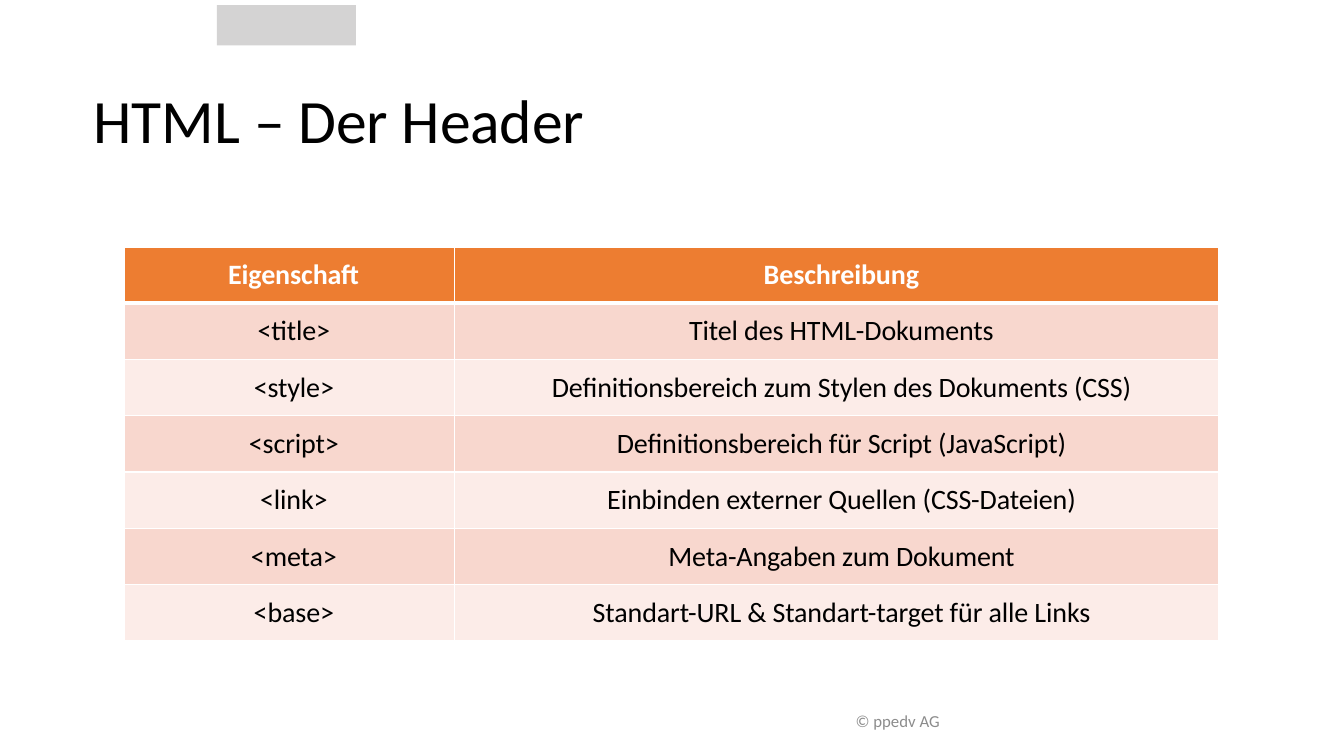
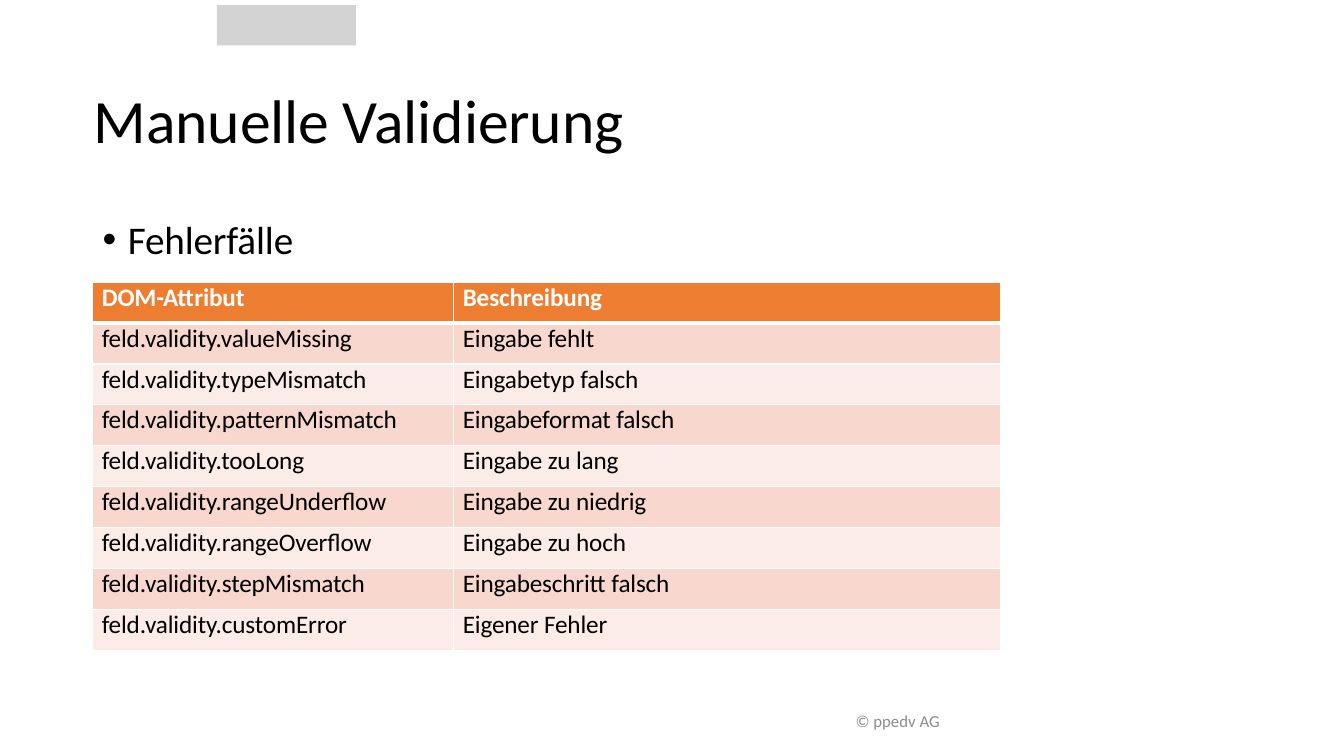
"""Build two German web-training slides with property tables."""
from dataclasses import dataclass

from lxml import etree
from pptx import Presentation
from pptx import util as u
from pptx.dml.color import RGBColor
from pptx.enum import shapes, text
from pptx.oxml.ns import qn


@dataclass(frozen=True)
class Theme:
    """Colours, font and type sizes of the deck."""
    font: str = "Calibri"
    ink: str = "000000"
    white: str = "FFFFFF"
    header: str = "ED7D31"
    bands: tuple = ("F8D7CE", "FCECE8")
    block: str = "D4D3D3"
    muted: str = "8C8C8C"
    title: int = 44
    body: int = 28
    footer: int = 12
    tracking: int = -10


T = Theme()

HEADER_ROWS = [
    ("Eigenschaft", "Beschreibung"),
    ("<title>", "Titel des HTML-Dokuments"),
    ("<style>", "Definitionsbereich zum Stylen des Dokuments (CSS)"),
    ("<script>", "Definitionsbereich für Script (JavaScript)"),
    ("<link>", "Einbinden externer Quellen (CSS-Dateien)"),
    ("<meta>", "Meta-Angaben zum Dokument"),
    ("<base>", "Standart-URL & Standart-target für alle Links"),
]
VALIDITY_ROWS = [
    ("DOM-Attribut", "Beschreibung"),
    ("feld.validity.valueMissing", "Eingabe fehlt"),
    ("feld.validity.typeMismatch", "Eingabetyp falsch"),
    ("feld.validity.patternMismatch", "Eingabeformat falsch"),
    ("feld.validity.tooLong", "Eingabe zu lang"),
    ("feld.validity.rangeUnderflow", "Eingabe zu niedrig"),
    ("feld.validity.rangeOverflow", "Eingabe zu hoch"),
    ("feld.validity.stepMismatch", "Eingabeschritt falsch"),
    ("feld.validity.customError", "Eigener Fehler"),
]


def box(left, top, width, height):
    """Return a position and size in inches."""
    return [u.Inches(v) for v in (left, top, width, height)]


def add_run(p, content, size, color, bold=False, tracking=0):
    """Add one formatted run to a paragraph."""
    r = p.add_run()
    r.text = content
    r.font.name, r.font.size, r.font.bold = T.font, u.Pt(size), bold
    r.font.color.rgb = RGBColor.from_string(color)
    if tracking:
        r.font._element.set("spc", str(tracking))


def add_text(s, place, align, anchor):
    """Add a wrapping text box and return its first paragraph."""
    tf = s.shapes.add_textbox(*box(*place)).text_frame
    tf.word_wrap, tf.vertical_anchor = True, anchor
    p = tf.paragraphs[0]
    p.alignment = align
    return p


def add_slide(prs, title):
    """Add a slide with its title, top block and footer."""
    s = prs.slides.add_slide(prs.slide_layouts[5])
    sp = s.shapes.add_shape(shapes.MSO_SHAPE.RECTANGLE, *box(2.15, 0.05, 1.38, 0.4))
    sp.shadow.inherit = False
    sp.fill.solid()
    sp.fill.fore_color.rgb = RGBColor.from_string(T.block)
    sp.line.fill.background()

    sp = s.shapes.title
    sp.left, sp.top, sp.width, sp.height = box(0.92, 0.5, 11.5, 1.35)
    tf = sp.text_frame
    tf.auto_size, tf.word_wrap = text.MSO_AUTO_SIZE.NONE, True
    tf.vertical_anchor = text.MSO_ANCHOR.MIDDLE
    tf.margin_left = u.Inches(0.01)
    tf.margin_right = tf.margin_top = tf.margin_bottom = 0
    p = tf.paragraphs[0]
    p.alignment = text.PP_ALIGN.LEFT
    add_run(p, title, T.title, T.ink, tracking=T.tracking)

    p = add_text(s, (0.92, 6.95, 8.5, 0.4), text.PP_ALIGN.RIGHT, text.MSO_ANCHOR.MIDDLE)
    add_run(p, "© ppedv AG", T.footer, T.muted)
    return s


def add_bullet(s, place, content):
    """Add a one-line bullet."""
    p = add_text(s, place, text.PP_ALIGN.LEFT, text.MSO_ANCHOR.TOP)
    p.line_spacing = 1.5
    pPr = p._p.get_or_add_pPr()
    pPr.set("marL", str(u.Inches(0.25)))
    pPr.set("indent", str(u.Inches(-0.25)))
    etree.SubElement(pPr, qn("a:buFont"), typeface="Arial")
    etree.SubElement(pPr, qn("a:buChar"), char="•")
    add_run(p, content, T.body, T.ink, tracking=T.tracking)


def set_borders(cell, top, bottom):
    """Give a cell white borders, one point wide at the sides."""
    tcPr = cell._tc.get_or_add_tcPr()
    for side, width in (("L", 1), ("R", 1), ("T", top), ("B", bottom)):
        ln = etree.SubElement(tcPr, qn(f"a:ln{side}"), w=str(u.Pt(width)))
        fill = etree.SubElement(ln, qn("a:solidFill"))
        etree.SubElement(fill, qn("a:srgbClr"), val=T.white)


def add_table(s, place, rows, widths, size, align, anchor):
    """Add a banded table whose first row is the header."""
    table = s.shapes.add_table(len(rows), len(widths), *box(*place)).table
    table.horz_banding = False
    for column, width in zip(table.columns, widths):
        column.width = u.Inches(width)
    for i, row in enumerate(rows):
        head = i == 0
        table.rows[i].height = u.Inches(place[3] / len(rows))
        for j, content in enumerate(row):
            cell = table.cell(i, j)
            set_borders(cell, 3 if i == 1 else 1, 3 if head else 1)
            cell.fill.solid()
            fill = T.header if head else T.bands[(i - 1) % 2]
            cell.fill.fore_color.rgb = RGBColor.from_string(fill)
            cell.margin_left = u.Inches(0.09)
            cell.margin_right = cell.margin_top = cell.margin_bottom = 0
            cell.vertical_anchor = anchor
            p = cell.text_frame.paragraphs[0]
            p.alignment = align
            add_run(p, content, size, T.white if head else T.ink, head, T.tracking)


def main():
    """Build and save the deck."""
    prs = Presentation()
    prs.slide_width, prs.slide_height = u.Inches(13.33), u.Inches(7.5)

    s = add_slide(prs, "HTML – Der Header")
    add_table(s, (1.23, 2.45, 10.86, 3.91), HEADER_ROWS, (3.28, 7.58), 20,
              text.PP_ALIGN.CENTER, text.MSO_ANCHOR.MIDDLE)

    s = add_slide(prs, "Manuelle Validierung")
    add_bullet(s, (0.92, 1.85, 11.5, 0.9), "Fehlerfälle")
    add_table(s, (0.92, 2.8, 9, 3.65), VALIDITY_ROWS, (3.58, 5.42), 18,
              text.PP_ALIGN.LEFT, text.MSO_ANCHOR.TOP)

    prs.save("out.pptx")


if __name__ == "__main__":
    main()
